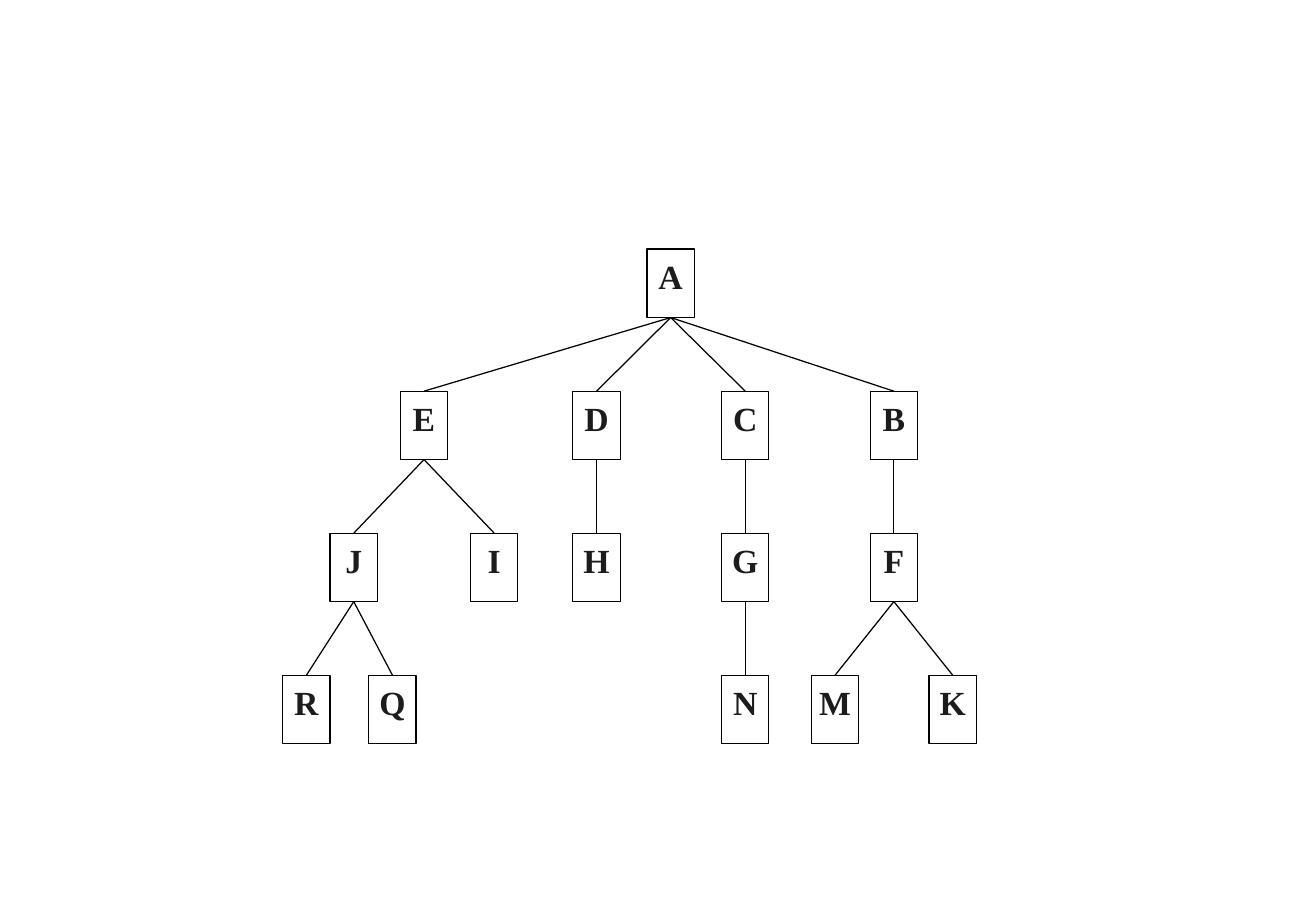
from dataclasses import dataclass

from lxml.etree import SubElement
from pptx import Presentation
from pptx.dml.color import RGBColor
from pptx.enum.shapes import MSO_CONNECTOR as Connector, MSO_SHAPE as Shape
from pptx.enum.text import MSO_ANCHOR as Anchor, PP_ALIGN as Align
from pptx.oxml.ns import qn
from pptx.shapes.autoshape import Shape as Box
from pptx.slide import Slide
from pptx.util import Cm, Pt


@dataclass(frozen=True)
class Theme:
    font: str = "Times New Roman"
    label_size: Pt = Pt(20)
    line_width: Pt = Pt(0.75)
    text: RGBColor = RGBColor(0x1C, 0x1C, 0x1C)
    line: RGBColor = RGBColor(0x00, 0x00, 0x00)
    fill: RGBColor = RGBColor(0xFF, 0xFF, 0xFF)


@dataclass(frozen=True)
class Node:
    label: str
    level: int
    center: float  # horizontal centre in cm
    parent: str = ""


THEME = Theme()

# Tree layout in cm
ROOT_TOP = 5.21
LEVEL_STEP = 2.97
NODE_WIDTH = 0.99
NODE_HEIGHT = 1.43
NODE_INSET = 0.13

# Connection sites of a rectangle
TOP_SITE, BOTTOM_SITE = 0, 2

# Each parent comes before its children
TREE = [
    Node("A", 0, 14.03),
    Node("E", 1, 8.87, "A"),
    Node("D", 1, 12.48, "A"),
    Node("C", 1, 15.59, "A"),
    Node("B", 1, 18.7, "A"),
    Node("J", 2, 7.4, "E"),
    Node("I", 2, 10.34, "E"),
    Node("H", 2, 12.48, "D"),
    Node("G", 2, 15.59, "C"),
    Node("F", 2, 18.7, "B"),
    Node("R", 3, 6.41, "J"),
    Node("Q", 3, 8.21, "J"),
    Node("N", 3, 15.59, "G"),
    Node("M", 3, 17.47, "F"),
    Node("K", 3, 19.93, "F"),
]


def draw_node(slide: Slide, node: Node) -> Box:
    box = slide.shapes.add_shape(
        Shape.RECTANGLE,
        Cm(node.center - NODE_WIDTH / 2),
        Cm(ROOT_TOP + node.level * LEVEL_STEP),
        Cm(NODE_WIDTH),
        Cm(NODE_HEIGHT),
    )
    box.shadow.inherit = False
    box.fill.solid()
    box.fill.fore_color.rgb = THEME.fill
    box.line.color.rgb = THEME.line
    box.line.width = THEME.line_width

    # Label
    frame = box.text_frame
    frame.word_wrap = True
    frame.vertical_anchor = Anchor.TOP
    frame.margin_left = frame.margin_right = 0
    frame.margin_top = frame.margin_bottom = Cm(NODE_INSET)
    paragraph = frame.paragraphs[0]
    paragraph.text = node.label
    paragraph.alignment = Align.CENTER
    paragraph.font.name = THEME.font
    paragraph.font.size = THEME.label_size
    paragraph.font.bold = True
    paragraph.font.color.rgb = THEME.text
    return box


def draw_branch(slide: Slide, parent: Box, child: Box) -> None:
    branch = slide.shapes.add_connector(Connector.STRAIGHT, 0, 0, 0, 0)
    branch.begin_connect(parent, BOTTOM_SITE)
    branch.end_connect(child, TOP_SITE)
    branch.line.color.rgb = THEME.line
    branch.line.width = THEME.line_width
    SubElement(branch.element.spPr, qn("a:effectLst"))


def main() -> None:
    presentation = Presentation()
    presentation.slide_width = Cm(27.53)
    presentation.slide_height = Cm(19.05)
    slide = presentation.slides.add_slide(presentation.slide_layouts[6])

    # Nodes, then the branches between them
    boxes = {node.label: draw_node(slide, node) for node in TREE}
    for node in TREE:
        if node.parent:
            draw_branch(slide, boxes[node.parent], boxes[node.label])

    presentation.save("out.pptx")


if __name__ == "__main__":
    main()
